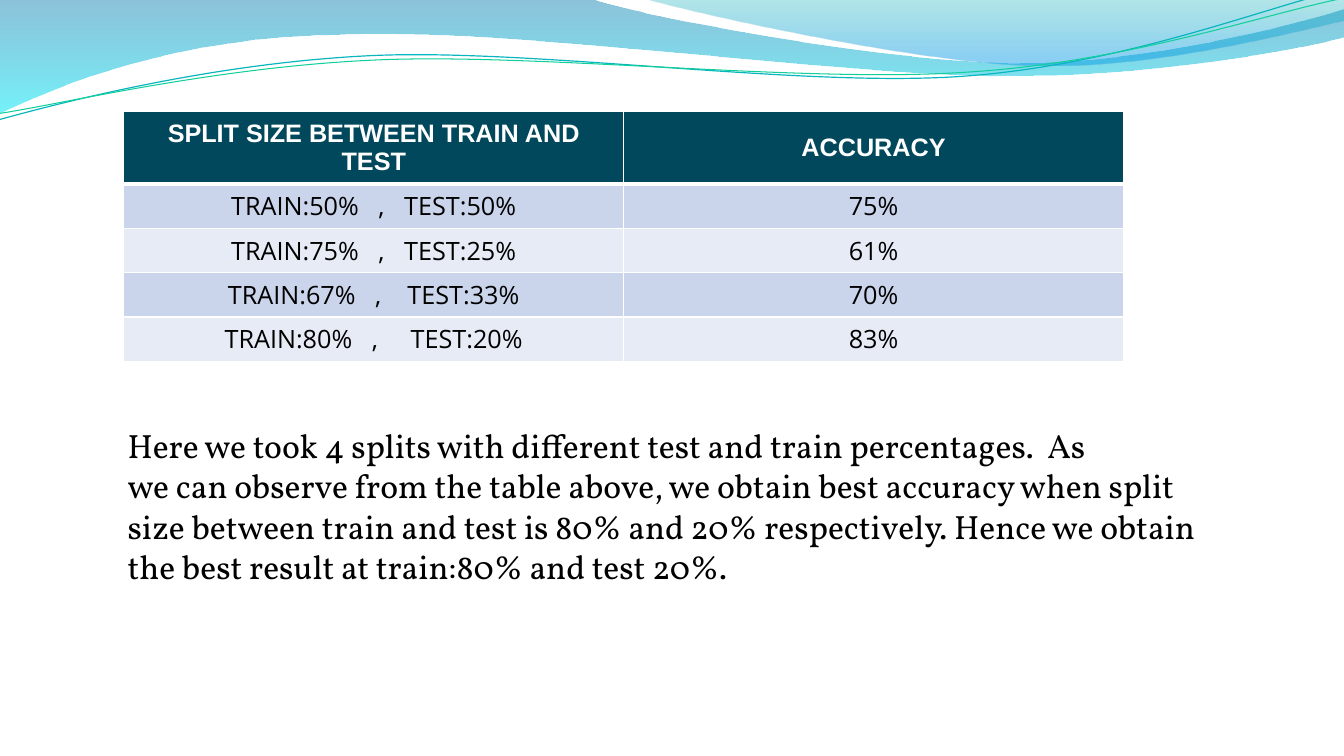
from dataclasses import dataclass

import lxml.etree
import pptx
import pptx.dml.color
import pptx.enum.text
import pptx.oxml.ns
import pptx.util

PX = 9525  # EMU in one px, 96 px to the inch
qn = pptx.oxml.ns.qn
Align = pptx.enum.text.PP_ALIGN
Anchor = pptx.enum.text.MSO_ANCHOR


@dataclass(frozen=True)
class Theme:
    header_fill: str = "02485C"
    bands: tuple = ("CAD4EA", "E6EBF5")
    white: str = "FFFFFF"
    ink: str = "000000"
    # Gradient stops: position in %, colour, opacity in %
    wide_wave: tuple = ((0, "0079AD", 45), (100, "00E9F7", 55))
    right_wave: tuple = ((0, "00ABB4", 30), (80, "0099E4", 45), (100, "0099E4", 45))
    teal_line: str = "09B6BE"
    green_line: str = "10CF9B"
    header_font: str = "Arial"
    cell_font: str = "Open Sans"
    body_font: str = "Vollkorn"
    table_size: int = 18
    body_size: int = 24


THEME = Theme()

# Outlines: a start point, then steps of one point (line) or three (curve)
WIDE_WAVE = [
    (0, 0), [(563, -1)],
    [(609, 16), (850, 60), (971, 60)], [(1092, 60), (1227, 25), (1280, 9)],
    [(1282, 35)],
    [(1259, 42), (1114, 73), (954, 72)], [(796, 72), (489, 27), (329, 33)],
    [(165, 35), (59, 80), (-1, 108)],
]
RIGHT_WAVE = [
    (613, -1),
    [(652, 11), (873, 60), (984, 62)], [(1095, 66), (1231, 31), (1280, 20)],
    [(1280, 0)],
]
TEAL_LINE = [
    (-1, 114), [(61, 97), (203, 60), (354, 53)],
    [(506, 46), (758, 83), (912, 73)], [(1066, 63), (1202, 8), (1278, -10)],
]
GREEN_LINE = [
    (0, 108), [(60, 99), (209, 63), (363, 57)],
    [(516, 51), (764, 79), (917, 69)], [(1073, 60), (1205, 13), (1281, -2)],
]

SPLITS = [
    ("SPLIT SIZE BETWEEN TRAIN AND TEST", "ACCURACY"),
    ("TRAIN:50%   ,   TEST:50%", "75%"),
    ("TRAIN:75%   ,   TEST:25%", "61%"),
    ("TRAIN:67%   ,    TEST:33%", "70%"),
    ("TRAIN:80%   ,     TEST:20%", "83%"),
]
FINDINGS = [
    "Here we took 4 splits with different test and train percentages.  As",
    "we can observe from the table above, we obtain best accuracy when split "
    "size between train and test is 80% and 20% respectively. Hence we obtain "
    "the best result at train:80% and test 20%.",
]


def rgb(colour):
    return pptx.dml.color.RGBColor.from_string(colour)


def emu(box):
    return [length * PX for length in box]


def write(paragraph, words, font, size, colour, bold=False):
    run = paragraph.add_run()
    run.text = words
    run.font.name = font
    run.font.size = pptx.util.Pt(size)
    run.font.bold = bold
    run.font.color.rgb = rgb(colour)


def add_curve(slide, box, outline, close):
    left, top = box[:2]
    (start_x, start_y), *steps = outline
    builder = slide.shapes.build_freeform(left + start_x, top + start_y, scale=PX)
    builder.add_line_segments(
        [(left + x, top + y) for step in steps for x, y in step], close=close)
    curve = builder.convert_to_shape()
    curve.shadow.inherit = False
    # Join each run of three segments into one Bezier curve
    segments = iter(list(curve.element.iter(qn("a:lnTo"))))
    for step in steps:
        group = [next(segments) for _ in step]
        if len(group) == 3:
            bezier = lxml.etree.Element(qn("a:cubicBezTo"))
            group[0].addprevious(bezier)
            for segment in group:
                bezier.append(segment[0])
                segment.getparent().remove(segment)
    return curve


def add_banner(slide, box):
    # Filled waves
    for outline, stops in ((WIDE_WAVE, THEME.wide_wave), (RIGHT_WAVE, THEME.right_wave)):
        wave = add_curve(slide, box, outline, close=True)
        wave.line.fill.background()
        wave.fill.gradient()
        wave.fill.gradient_angle = 270
        stop_list = next(wave.element.iter(qn("a:gsLst")))
        for stop in list(stop_list):
            stop_list.remove(stop)
        for position, colour, opacity in stops:
            stop = lxml.etree.SubElement(stop_list, qn("a:gs"), pos=str(position * 1000))
            tint = lxml.etree.SubElement(stop, qn("a:srgbClr"), val=colour)
            lxml.etree.SubElement(tint, qn("a:alpha"), val=str(opacity * 1000))
    # Thin lines
    for outline, colour, width in ((TEAL_LINE, THEME.teal_line, 0.85),
                                   (GREEN_LINE, THEME.green_line, 0.75)):
        strand = add_curve(slide, box, outline, close=False)
        strand.fill.background()
        strand.line.color.rgb = rgb(colour)
        strand.line.width = pptx.util.Pt(width)


def add_borders(cell, top, bottom):
    properties = cell._tc.get_or_add_tcPr()
    for index, (side, width) in enumerate(
            (("lnL", 1), ("lnR", 1), ("lnT", top), ("lnB", bottom))):
        border = lxml.etree.Element(qn("a:" + side), w=str(pptx.util.Pt(width)))
        fill = lxml.etree.SubElement(border, qn("a:solidFill"))
        lxml.etree.SubElement(fill, qn("a:srgbClr"), val=THEME.white)
        properties.insert(index, border)


def add_split_table(slide, box, header_height):
    rows, columns = len(SPLITS), len(SPLITS[0])
    table = slide.shapes.add_table(rows, columns, *emu(box)).table
    table.horz_banding = False
    for column in table.columns:
        column.width = box[2] * PX // columns
    for index, texts in enumerate(SPLITS):
        header = index == 0
        height = header_height if header else (box[3] - header_height) // (rows - 1)
        table.rows[index].height = height * PX
        for column, words in enumerate(texts):
            cell = table.cell(index, column)
            cell.vertical_anchor = Anchor.MIDDLE if header else Anchor.TOP
            cell.fill.solid()
            cell.fill.fore_color.rgb = rgb(
                THEME.header_fill if header else THEME.bands[(index - 1) % 2])
            add_borders(cell, top=3 if index == 1 else 1, bottom=3 if header else 1)
            paragraph = cell.text_frame.paragraphs[0]
            paragraph.alignment = Align.CENTER
            write(paragraph, words,
                  THEME.header_font if header else THEME.cell_font, THEME.table_size,
                  THEME.white if header else THEME.ink, bold=header)


def add_findings(slide, box):
    frame = slide.shapes.add_textbox(*emu(box)).text_frame
    frame.word_wrap = True
    frame.auto_size = pptx.enum.text.MSO_AUTO_SIZE.SHAPE_TO_FIT_TEXT
    for index, words in enumerate(FINDINGS):
        paragraph = frame.add_paragraph() if index else frame.paragraphs[0]
        write(paragraph, words, THEME.body_font, THEME.body_size, THEME.ink)


def main():
    deck = pptx.Presentation()
    deck.slide_width, deck.slide_height = emu((1280, 720))
    slide = deck.slides.add_slide(deck.slide_layouts[6])
    add_banner(slide, (0, 0, 1280, 120))
    add_split_table(slide, (118, 106, 952, 229), header_height=69)
    add_findings(slide, (112, 400, 1059, 165))
    deck.save("out.pptx")


if __name__ == "__main__":
    main()
